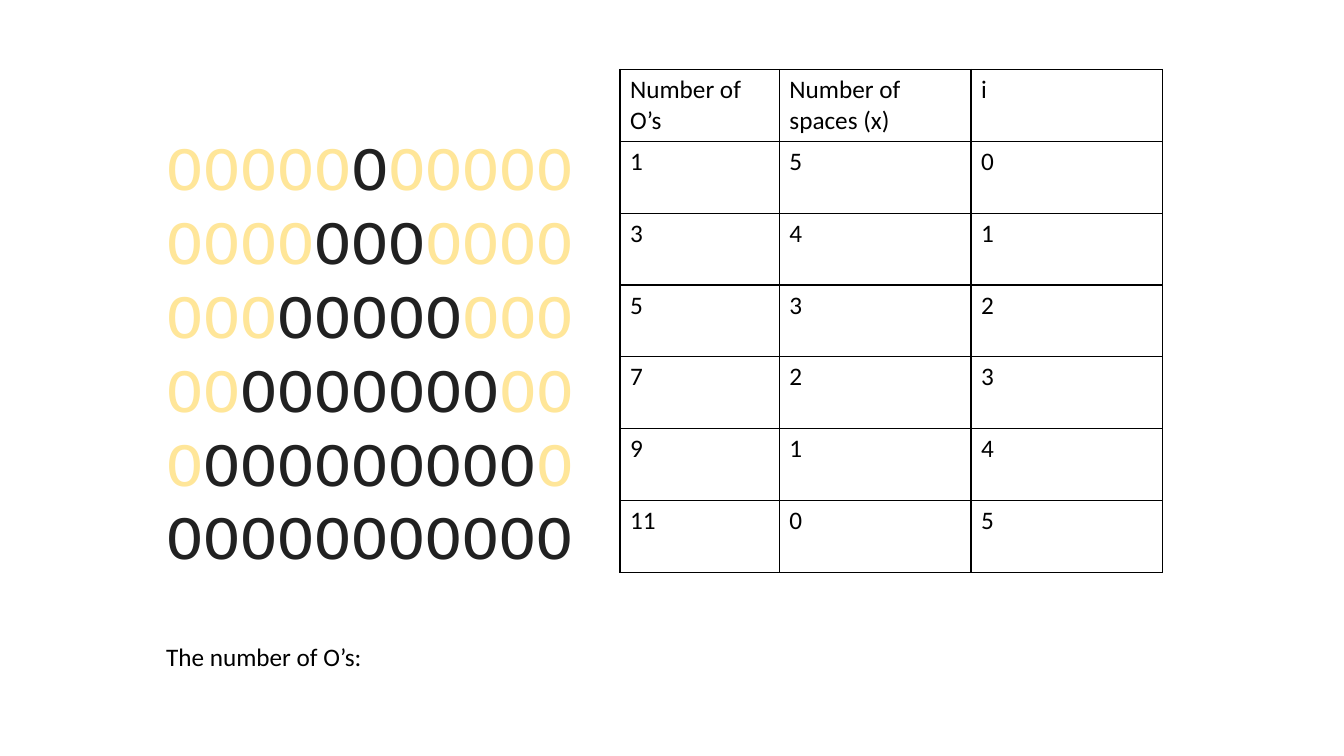
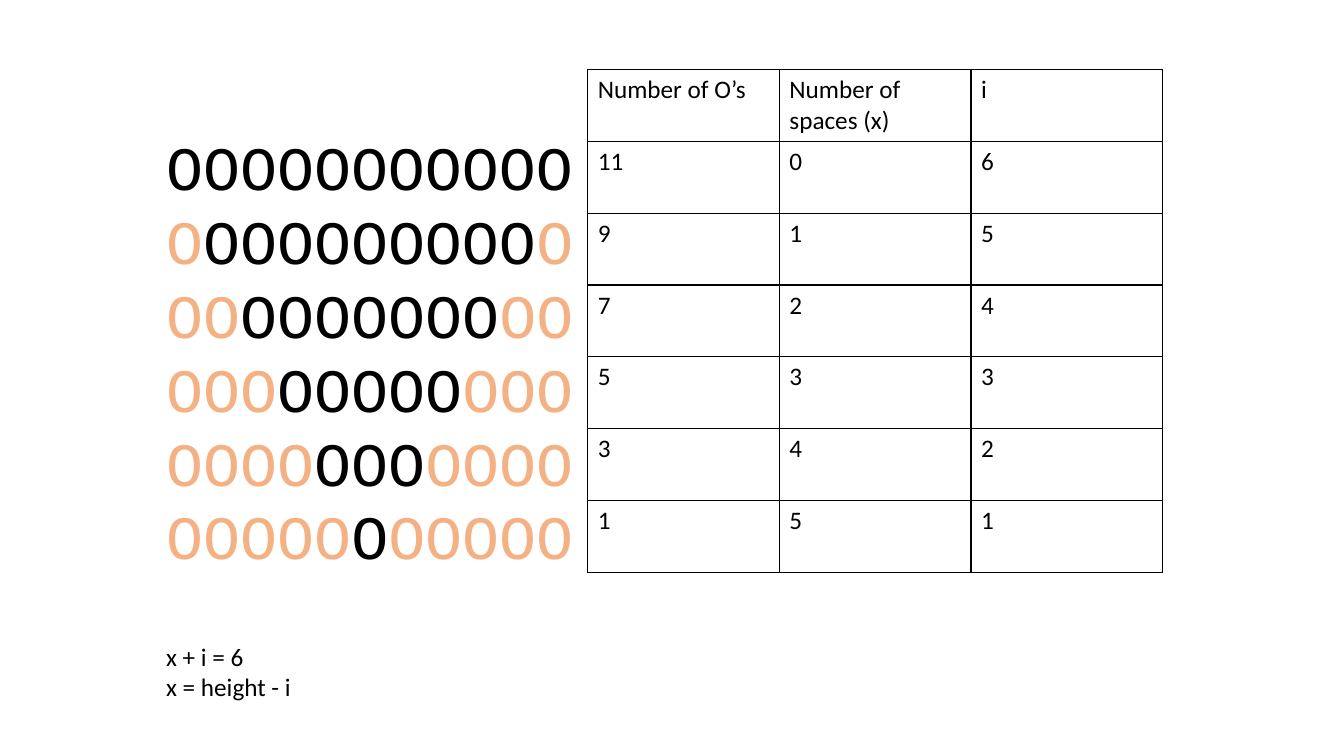
"""Build two slides that count the letters and spaces in a triangle pattern."""
from lxml import etree
from pptx import Presentation, util as u
from pptx.dml.color import RGBColor
from pptx.oxml import ns

BLACK = RGBColor(0x00, 0x00, 0x00)
CHARCOAL = RGBColor(0x21, 0x21, 0x21)
YELLOW = RGBColor(0xFF, 0xE6, 0x99)
ORANGE = RGBColor(0xF4, 0xB1, 0x83)

HEADERS = ["Number of O’s", "Number of spaces (x)", "i"]
LETTERS = 11
LEFT = 1.55
TABLE_TOP, TABLE_RIGHT, ROW_HEIGHT = 0.69, 11.53, 4.99 / 7

SLIDES = [
    dict(spaces=[5, 4, 3, 2, 1, 0], steps=[0, 1, 2, 3, 4, 5],
         ink=CHARCOAL, padding=YELLOW, columns=[1.58, 1.9, 1.9],
         notes=["The number of O’s:"], notes_height=0.4),
    dict(spaces=[0, 1, 2, 3, 4, 5], steps=[6, 5, 4, 3, 2, 1],
         ink=BLACK, padding=ORANGE, columns=[1.9, 1.9, 1.9],
         notes=["x + i = 6", "x = height - i"], notes_height=0.71),
]


def set_font(para, name, size, color=None):
    para.font.name = name
    para.font.size = u.Pt(size)
    if color is not None:
        para.font.color.rgb = color


def add_box(page, top, width, height, count):
    box = page.shapes.add_textbox(u.Inches(LEFT), u.Inches(top), u.Inches(width), u.Inches(height))
    frame = box.text_frame
    frame.word_wrap = True
    for _ in range(count - 1):
        frame.add_paragraph()
    return frame.paragraphs


def add_triangle(page, spaces, ink, padding):
    for para, gap in zip(add_box(page, 1.23, 5.11, 4.54, len(spaces)), spaces):
        set_font(para, "Courier New", 44)
        for count, color in [(gap, padding), (LETTERS - 2 * gap, ink), (gap, padding)]:
            if count:
                span = para.add_run()
                span.text = "O" * count
                span.font.color.rgb = color


def add_notes(page, lines, height):
    for para, line in zip(add_box(page, 6.31, 4.56, height, len(lines)), lines):
        para.text = line
        set_font(para, "Calibri", 18, BLACK)


def add_borders(cell):
    properties = cell._tc.get_or_add_tcPr()
    for position, side in enumerate(["a:lnL", "a:lnR", "a:lnT", "a:lnB"]):
        line = etree.Element(ns.qn(side), w=str(u.Pt(1)))
        fill = etree.SubElement(line, ns.qn("a:solidFill"))
        etree.SubElement(fill, ns.qn("a:srgbClr"), val=str(BLACK))
        properties.insert(position, line)


def add_counts(page, rows, columns):
    width = sum(columns)
    frame = page.shapes.add_table(
        len(rows), len(columns), u.Inches(TABLE_RIGHT - width), u.Inches(TABLE_TOP),
        u.Inches(width), u.Inches(ROW_HEIGHT * len(rows)))
    table = frame.table
    table.first_row = table.horz_banding = False
    for column, column_width in zip(table.columns, columns):
        column.width = u.Inches(column_width)
    for row, values in zip(table.rows, rows):
        row.height = u.Inches(ROW_HEIGHT)
        for cell, value in zip(row.cells, values):
            cell.text = str(value)
            set_font(cell.text_frame.paragraphs[0], "Calibri", 18, BLACK)
            cell.fill.background()
            add_borders(cell)


def main():
    deck = Presentation()
    deck.slide_width, deck.slide_height = u.Inches(13.33), u.Inches(7.5)
    for content in SLIDES:
        page = deck.slides.add_slide(deck.slide_layouts[6])
        spaces = content["spaces"]
        counts = [(LETTERS - 2 * gap, gap, step) for gap, step in zip(spaces, content["steps"])]
        add_triangle(page, spaces, content["ink"], content["padding"])
        add_notes(page, content["notes"], content["notes_height"])
        add_counts(page, [HEADERS, *counts], content["columns"])
    deck.save("out.pptx")


if __name__ == "__main__":
    main()
